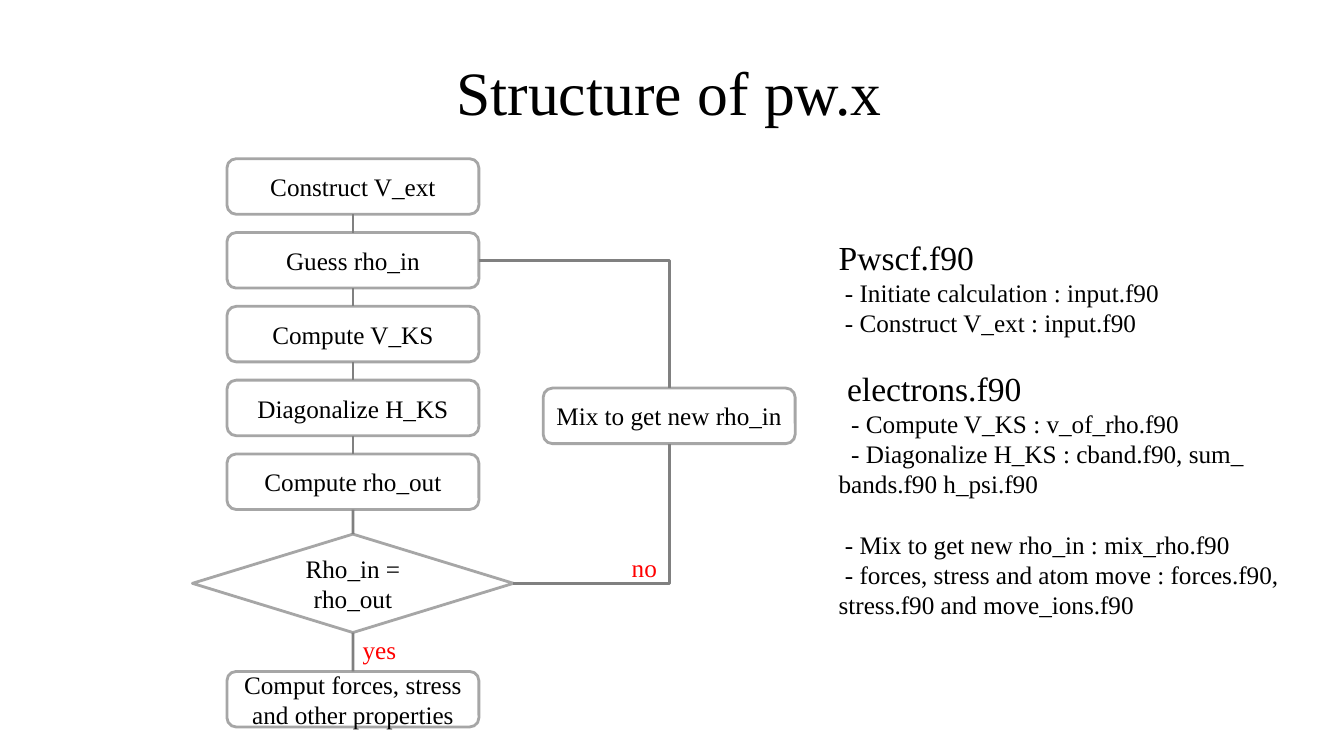
from dataclasses import dataclass
from itertools import pairwise
from typing import Any

from lxml.etree import SubElement
from pptx import Presentation
from pptx.dml.color import RGBColor
from pptx.enum.shapes import MSO_CONNECTOR as Link, MSO_SHAPE as Shape
from pptx.enum.text import MSO_ANCHOR as Anchor, MSO_AUTO_SIZE as AutoSize, PP_ALIGN as Align
from pptx.oxml.ns import qn
from pptx.util import Cm, Pt


@dataclass(frozen=True)
class Theme:
    font: str = "Times New Roman"
    ink: RGBColor = RGBColor(0, 0, 0)
    answer: RGBColor = RGBColor(0xFF, 0, 0)
    outline: RGBColor = RGBColor(0xA6, 0xA6, 0xA6)
    link: RGBColor = RGBColor(0x80, 0x80, 0x80)
    stroke: Pt = Pt(2)
    title: Pt = Pt(44)
    heading: Pt = Pt(24)
    text: Pt = Pt(18)


@dataclass(frozen=True)
class Step:
    text: str
    left: float
    top: float
    width: float = 6.35
    height: float = 1.4
    kind: Shape = Shape.ROUNDED_RECTANGLE


@dataclass(frozen=True)
class Answer:
    text: str
    left: float
    top: float


@dataclass(frozen=True)
class Note:
    """A line of the file list; indent and gap above are in points."""
    text: str
    indent: float = 4.5
    gap: float = 0
    heading: bool = False


THEME = Theme()
TOP, RIGHT, BOTTOM = 0, 3, 2
COLUMN_LEFT, FIRST_TOP, STEP_PITCH = 5.72, 4.0, 1.86

STEP_TEXTS = ["Construct V_ext", "Guess rho_in", "Compute V_KS",
              "Diagonalize H_KS", "Compute rho_out"]
MAIN_STEPS = [Step(text, COLUMN_LEFT, FIRST_TOP + row * STEP_PITCH)
              for row, text in enumerate(STEP_TEXTS)]
MAIN_STEPS += [
    Step("Rho_in = rho_out", 4.85, 13.46, 8.09, 2.48, Shape.DIAMOND),
    Step("Comput forces, stress and other properties", COLUMN_LEFT, 16.92),
]
MIX_STEP = Step("Mix to get new rho_in", 13.69, 9.78)
ANSWERS = [Answer("yes", 8.89, 15.85), Answer("no", 15.67, 13.79)]
NOTES = [
    Note("Pwscf.f90", indent=0, heading=True),
    Note("- Initiate calculation : input.f90"),
    Note("- Construct V_ext : input.f90"),
    Note("electrons.f90", indent=6, gap=21.5, heading=True),
    Note("- Compute V_KS : v_of_rho.f90", indent=9),
    Note("- Diagonalize H_KS : cband.f90, sum_ bands.f90 h_psi.f90", indent=9),
    Note("- Mix to get new rho_in : mix_rho.f90", gap=21.5),
    Note("- forces, stress and atom move : forces.f90, stress.f90 and move_ions.f90"),
]


def apply(target: Any, formats: dict[str, Any]) -> None:
    for name, value in formats.items():
        setattr(target, name, value)


def place(shape: Any, left: float, top: float, width: float, height: float) -> None:
    apply(shape, {"left": Cm(left), "top": Cm(top),
                  "width": Cm(width), "height": Cm(height)})


def write(paragraph: Any, text: str, size: Pt, color: RGBColor = THEME.ink) -> None:
    run = paragraph.add_run()
    run.text = text
    apply(run.font, {"name": THEME.font, "size": size})
    run.font.color.rgb = color


def stroke(line: Any, color: RGBColor) -> None:
    line.color.rgb = color
    line.width = THEME.stroke


def draw_title(title: Any) -> None:
    place(title, 2.26, 0.58, 29.21, 3.68)
    apply(title.text_frame, {"vertical_anchor": Anchor.MIDDLE, "auto_size": AutoSize.NONE})
    paragraph = title.text_frame.paragraphs[0]
    apply(paragraph, {"alignment": Align.CENTER, "line_spacing": 0.9})
    write(paragraph, "Structure of pw.x", THEME.title)


def draw_step(slide: Any, step: Step) -> Any:
    box = slide.shapes.add_shape(step.kind, Cm(step.left), Cm(step.top),
                                 Cm(step.width), Cm(step.height))
    box.shadow.inherit = False
    box.fill.background()
    stroke(box.line, THEME.outline)
    apply(box.text_frame, {"word_wrap": True, "vertical_anchor": Anchor.MIDDLE})
    paragraph = box.text_frame.paragraphs[0]
    paragraph.alignment = Align.CENTER
    write(paragraph, step.text, THEME.text)
    return box


def join(slide: Any, start: Any, start_side: int, end: Any, end_side: int,
         kind: Link = Link.STRAIGHT) -> None:
    """Link two steps; an elbow link turns only once."""
    link = slide.shapes.add_connector(kind, 0, 0, 0, 0)
    link.begin_connect(start, start_side)
    link.end_connect(end, end_side)
    stroke(link.line, THEME.link)
    properties = link._element.spPr
    if kind == Link.ELBOW:
        properties.find(qn("a:prstGeom")).set("prst", "bentConnector2")
    SubElement(properties, qn("a:effectLst"))


def draw_answer(slide: Any, answer: Answer) -> None:
    label = slide.shapes.add_textbox(Cm(answer.left), Cm(answer.top), Cm(1.6), Cm(1.02))
    label.text_frame.word_wrap = True
    write(label.text_frame.paragraphs[0], answer.text, THEME.text, THEME.answer)


def draw_notes(body: Any) -> None:
    place(body, 20.88, 5.84, 11.63, 10.0)
    frame = body.text_frame
    apply(frame, {"word_wrap": True, "auto_size": AutoSize.NONE,
                  "vertical_anchor": Anchor.TOP})
    for index, note in enumerate(NOTES):
        paragraph = frame.add_paragraph() if index else frame.paragraphs[0]
        properties = paragraph._p.get_or_add_pPr()
        properties.set("marL", "0")
        properties.set("indent", str(int(Pt(note.indent))))
        SubElement(properties, qn("a:buNone"))
        apply(paragraph, {"alignment": Align.LEFT, "space_before": Pt(note.gap)})
        write(paragraph, note.text, THEME.heading if note.heading else THEME.text)


def main() -> None:
    deck = Presentation()
    apply(deck, {"slide_width": Cm(33.87), "slide_height": Cm(19.05)})
    slide = deck.slides.add_slide(deck.slide_layouts[1])
    draw_title(slide.shapes.title)
    draw_notes(slide.placeholders[1])

    boxes = [draw_step(slide, step) for step in MAIN_STEPS]
    mix = draw_step(slide, MIX_STEP)
    for upper, lower in pairwise(boxes):
        join(slide, upper, BOTTOM, lower, TOP)
    guess, decision = boxes[1], boxes[5]
    join(slide, guess, RIGHT, mix, TOP, Link.ELBOW)
    join(slide, decision, RIGHT, mix, BOTTOM, Link.ELBOW)
    for answer in ANSWERS:
        draw_answer(slide, answer)
    deck.save("out.pptx")


if __name__ == "__main__":
    main()
